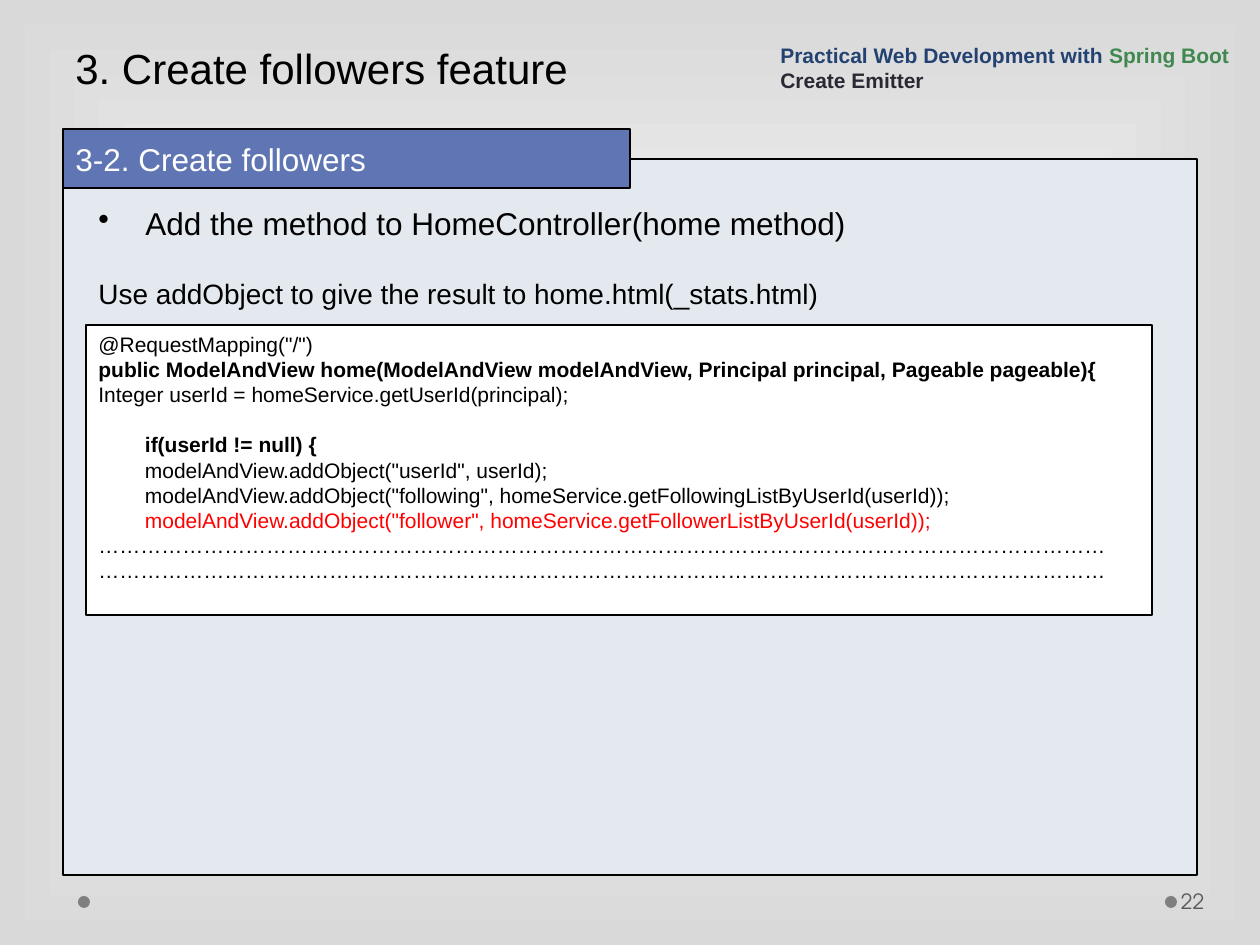
from lxml.etree import SubElement
from pptx import Presentation
from pptx.dml.color import RGBColor
from pptx.enum.shapes import MSO_SHAPE
from pptx.enum.text import MSO_ANCHOR, PP_ALIGN
from pptx.oxml.ns import qn
from pptx.util import Pt

PX = 914400 / 126
BLACK = RGBColor(0x00, 0x00, 0x00)
WHITE = RGBColor(0xFF, 0xFF, 0xFF)
RED = RGBColor(0xFF, 0x00, 0x00)
SILVER = RGBColor(0xD9, 0xD9, 0xD9)
GRAY = RGBColor(0x7F, 0x7F, 0x7F)
DARK_GRAY = RGBColor(0x59, 0x59, 0x59)
PALE_BLUE = RGBColor(0xE4, 0xE9, 0xEF)
BLUE = RGBColor(0x60, 0x76, 0xB4)
NAVY = RGBColor(0x23, 0x42, 0x71)
GREEN = RGBColor(0x40, 0x88, 0x4F)
INK = RGBColor(0x29, 0x29, 0x34)


def emu(px):
    return round(px * PX)


def write_text(paragraph, text, size=12, color=BLACK, bold=False, font="Arial"):
    run = paragraph.add_run()
    run.text = text
    run.font.size = Pt(size)
    run.font.name = font
    run.font.bold = bold
    run.font.color.rgb = color


class SlideBuilder:
    def __init__(self, slide):
        self.slide = slide

    def background(self, center, edge):
        fill = self.slide.background.fill
        fill.gradient()
        for stop, color in zip(fill.gradient_stops, (center, edge)):
            stop.color.rgb = color
        gradient = self.slide.element.find(".//" + qn("a:gradFill"))
        gradient.remove(gradient.find(qn("a:lin")))
        shade = SubElement(gradient, qn("a:path"), {"path": "rect"})
        SubElement(shade, qn("a:fillToRect"), dict.fromkeys("ltrb", "50000"))

    def shape(self, x, y, width, height, fill, outlined=True, kind=MSO_SHAPE.RECTANGLE):
        shape = self.slide.shapes.add_shape(kind, *map(emu, (x, y, width, height)))
        shape.shadow.inherit = False
        shape.fill.solid()
        shape.fill.fore_color.rgb = fill
        if outlined:
            shape.line.color.rgb = BLACK
            shape.line.width = Pt(0.75)
        else:
            shape.line.fill.background()
        return shape

    def text_box(self, x, y, width, height, lines, **style):
        box = self.slide.shapes.add_textbox(*map(emu, (x, y, width, height)))
        return self.fill_text(box, lines, **style)

    def fill_text(self, shape, lines, anchor=MSO_ANCHOR.TOP, **style):
        """Each line is a list of (text, format) runs."""
        frame = shape.text_frame
        frame.word_wrap = True
        frame.vertical_anchor = anchor
        for number, runs in enumerate(lines):
            paragraph = frame.add_paragraph() if number else frame.paragraphs[0]
            paragraph.alignment = PP_ALIGN.LEFT
            for text, run_style in runs:
                write_text(paragraph, text, **{**style, **run_style})
        return frame

    def bullet(self, paragraph, indent):
        properties = paragraph._p.get_or_add_pPr()
        properties.set("marL", str(emu(indent)))
        properties.set("indent", str(-emu(indent)))
        SubElement(properties, qn("a:buChar"), {"char": "•"})


def main():
    deck = Presentation()
    deck.slide_width, deck.slide_height = emu(1260), emu(945)
    page = SlideBuilder(deck.slides.add_slide(deck.slide_layouts[6]))
    page.background(WHITE, SILVER)

    # Footer dots and page number
    for dot_x in (1165, 78):
        page.shape(dot_x, 896, 12, 12, GRAY, outlined=False, kind=MSO_SHAPE.OVAL)
    footer = page.text_box(1177, 876, 77, 50, [[("22", {})]], anchor=MSO_ANCHOR.MIDDLE,
                           color=DARK_GRAY, font="TeX Gyre Adventor")
    footer.margin_left = emu(4)

    # Content panel and slide title
    page.shape(63, 159, 1134, 716, PALE_BLUE)
    title = page.text_box(63, 0, 1134, 99, [[("3. Create followers feature", {})]],
                          anchor=MSO_ANCHOR.BOTTOM, size=24)
    title.paragraphs[0].line_spacing = Pt(57.9)

    # Section heading
    heading = page.shape(63, 129, 567, 59, BLUE)
    page.fill_text(heading, [[("3-2. Create followers", {})]],
                   anchor=MSO_ANCHOR.MIDDLE, size=18, color=WHITE)

    # Task
    task = page.text_box(86, 198, 975, 50,
                         [[("Add the method to HomeController(home method)", {})]], size=18)
    page.bullet(task.paragraphs[0], 47)

    # Course name
    page.text_box(768, 30, 492, 69, [
        [("Practical Web Development with ", {"color": NAVY}),
         ("Spring Boot", {"color": GREEN})],
        [("Create Emitter", {"color": INK})],
    ], anchor=MSO_ANCHOR.BOTTOM, bold=True)

    # Code listing
    indent = " " * 8
    omitted = "…" * 48
    listing = page.shape(86, 325, 1066, 290, WHITE)
    code = page.fill_text(listing, [[line] for line in (
        ('@RequestMapping("/")', {}),
        ("public ModelAndView home(ModelAndView modelAndView, "
         "Principal principal, Pageable pageable){", {"bold": True}),
        ("Integer userId = homeService.getUserId(principal);", {}),
        (indent + "if(userId != null) {", {"bold": True}),
        (indent + 'modelAndView.addObject("userId", userId);', {}),
        (indent + 'modelAndView.addObject("following", '
         "homeService.getFollowingListByUserId(userId));", {}),
        (indent + 'modelAndView.addObject("follower", '
         "homeService.getFollowerListByUserId(userId));", {"color": RED}),
        (omitted, {}),
        (omitted, {}),
    )])
    code.paragraphs[3].space_before = Pt(14.4)

    # Explanation
    page.text_box(86, 270, 886, 47,
                  [[("Use addObject to give the result to home.html(_stats.html)", {})]], size=16)

    deck.save("out.pptx")


if __name__ == "__main__":
    main()
